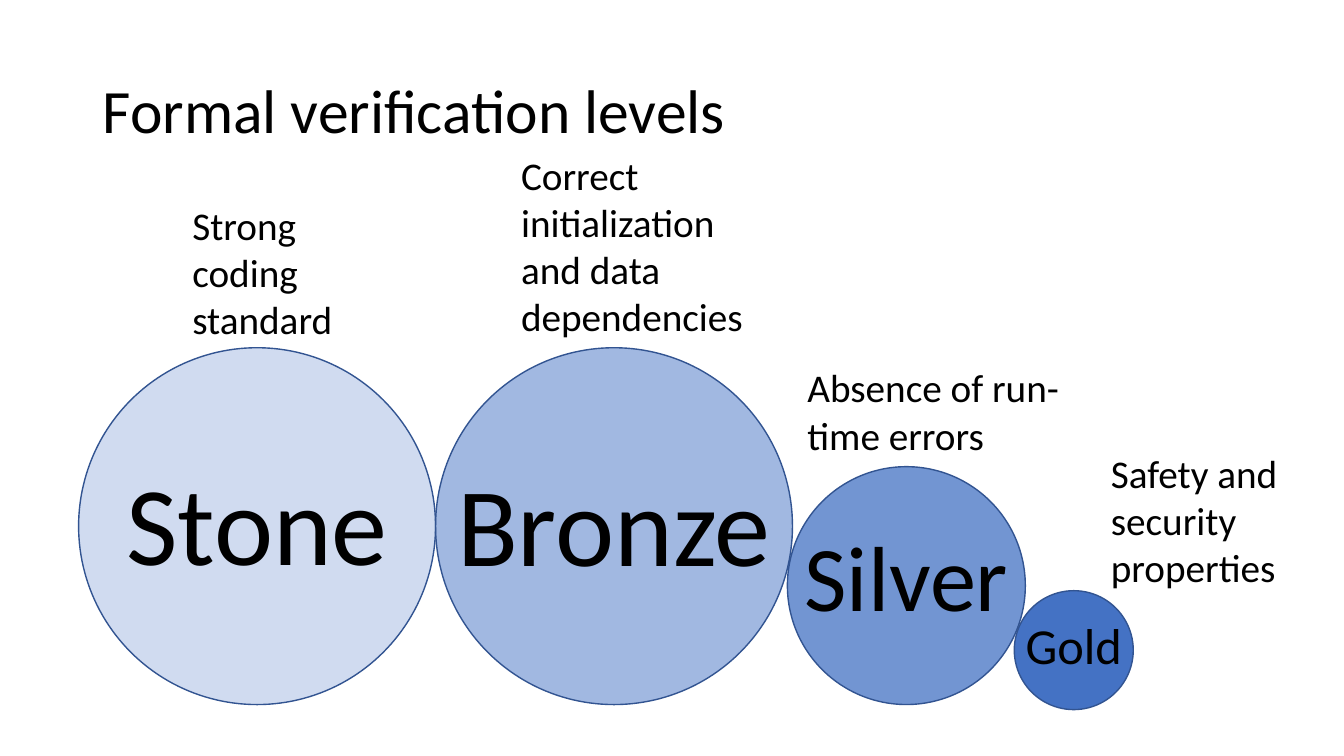
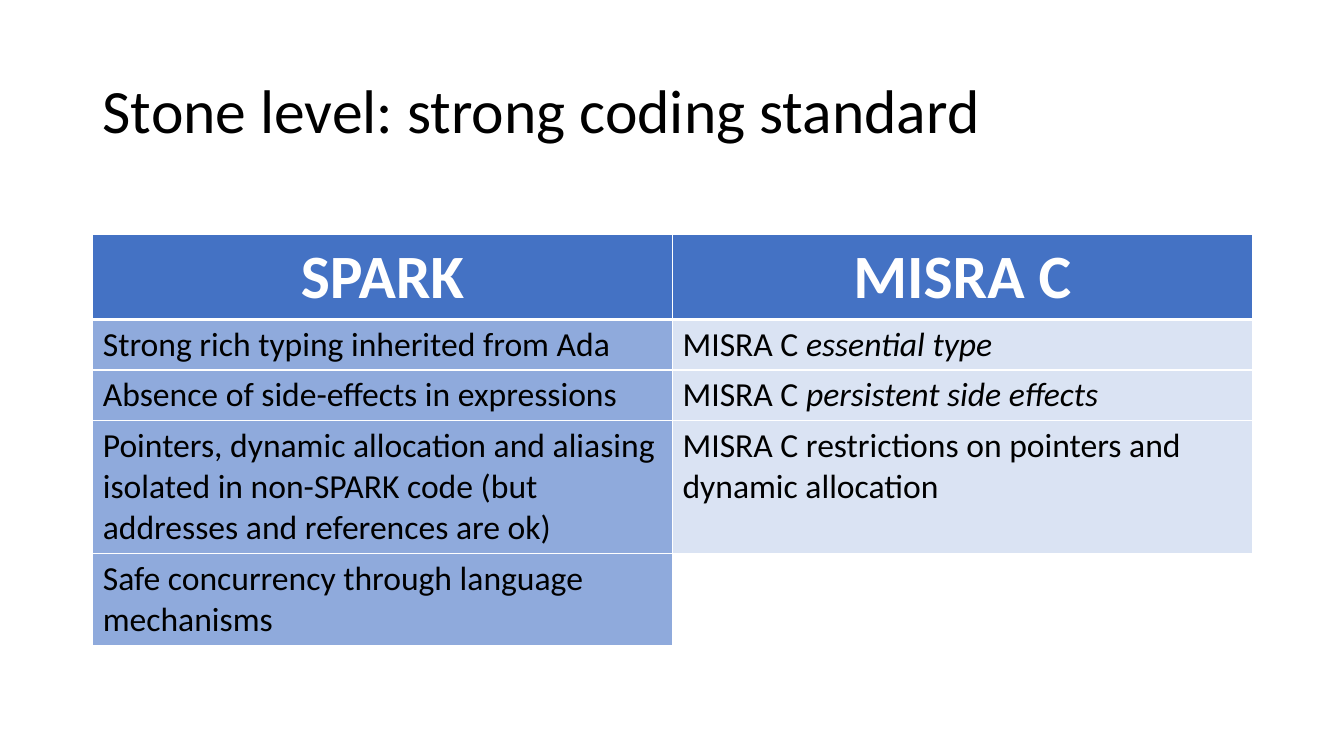
"""Build two slides on formal verification levels and the Stone coding standard."""
from dataclasses import dataclass

from lxml.etree import SubElement
from pptx import Presentation
from pptx.dml.color import RGBColor
from pptx.enum.shapes import MSO_SHAPE
from pptx.enum.text import MSO_ANCHOR, PP_ALIGN
from pptx.oxml import parse_xml
from pptx.oxml.ns import nsdecls, qn
from pptx.presentation import Presentation as Deck
from pptx.slide import Slide
from pptx.table import _Cell
from pptx.text.text import TextFrame
from pptx.util import Inches, Pt


@dataclass(frozen=True)
class Theme:
    font: str = "Calibri"
    ink: RGBColor = RGBColor(0x00, 0x00, 0x00)
    white: RGBColor = RGBColor(0xFF, 0xFF, 0xFF)
    accent: RGBColor = RGBColor(0x44, 0x72, 0xC4)
    outline: RGBColor = RGBColor(0x32, 0x54, 0x91)
    spark: RGBColor = RGBColor(0x8F, 0xAA, 0xDC)
    misra: RGBColor = RGBColor(0xDA, 0xE3, 0xF3)
    title_size: int = 44
    caption_size: int = 28
    body_size: int = 24


@dataclass(frozen=True)
class Box:
    left: float
    top: float
    width: float
    height: float

    def emu(self) -> tuple[Inches, Inches, Inches, Inches]:
        return Inches(self.left), Inches(self.top), Inches(self.width), Inches(self.height)


@dataclass(frozen=True)
class Level:
    name: str
    name_size: int
    name_top: float
    name_width: float
    left: float
    top: float
    diameter: float
    opacity: int
    caption: str
    caption_box: Box


@dataclass(frozen=True)
class Entry:
    text: str
    emphasis: str = ""


@dataclass(frozen=True)
class Rule:
    spark: Entry
    misra: Entry | None
    height: float


THEME = Theme()
TITLE_BOX = Box(0.92, 0.4, 11.5, 1.45)
LEVELS = [
    Level("Gold", 36, 6.04, 1.42, 10.06, 5.86, 1.18, 100,
          "Safety and\nsecurity\nproperties", Box(10.92, 4.41, 2.2, 1.66)),
    Level("Silver", 66, 5.1, 2.65, 7.81, 4.63, 2.36, 75,
          "Absence of run-time errors", Box(7.91, 3.56, 2.7, 1.66)),
    Level("Bronze", 80, 4.46, 3.47, 4.32, 3.45, 3.54, 50,
          "Correct\ninitialization\nand data dependencies", Box(5.07, 1.45, 3.37, 2.16)),
    Level("Stone", 80, 4.45, 3.94, 0.78, 3.45, 3.54, 25,
          "Strong coding standard", Box(1.81, 1.95, 1.87, 1.66)),
]
HEADINGS = ("SPARK", "MISRA C")
HEADING_HEIGHT = 0.84
RULES = [
    Rule(Entry("Strong rich typing inherited from Ada"), Entry("MISRA C ", "essential type"), 0.5),
    Rule(Entry("Absence of side-effects in expressions"),
         Entry("MISRA C ", "persistent side effects"), 0.5),
    Rule(Entry("Pointers, dynamic allocation and aliasing isolated in non-SPARK code "
               "(but addresses and references are ok)"),
         Entry("MISRA C restrictions on pointers and dynamic allocation"), 1.32),
    Rule(Entry("Safe concurrency through language mechanisms"), None, 0.91),
]


def style_text(frame: TextFrame, size: int, color: RGBColor = THEME.ink,
               align: PP_ALIGN = PP_ALIGN.LEFT, bold: bool = False) -> None:
    for paragraph in frame.paragraphs:
        paragraph.alignment = align
        paragraph.font.name = THEME.font
        paragraph.font.size = Pt(size)
        paragraph.font.bold = bold
        paragraph.font.color.rgb = color


def add_text(slide: Slide, box: Box, text: str, size: int,
             align: PP_ALIGN = PP_ALIGN.LEFT) -> TextFrame:
    frame = slide.shapes.add_textbox(*box.emu()).text_frame
    frame.word_wrap = True
    frame.text = text
    style_text(frame, size, align=align)
    return frame


def add_titled_slide(deck: Deck, title: str) -> Slide:
    slide = deck.slides.add_slide(deck.slide_layouts[6])
    frame = add_text(slide, TITLE_BOX, title, THEME.title_size)
    frame.vertical_anchor = MSO_ANCHOR.MIDDLE
    frame.paragraphs[0].line_spacing = 0.9
    return slide


def add_circle(slide: Slide, level: Level) -> None:
    box = Box(level.left, level.top, level.diameter, level.diameter)
    circle = slide.shapes.add_shape(MSO_SHAPE.OVAL, *box.emu())
    circle.shadow.inherit = False
    circle.fill.solid()
    circle.fill.fore_color.rgb = THEME.accent
    color = circle._element.spPr.find(qn("a:solidFill"))[0]
    SubElement(color, qn("a:alpha"), val=str(level.opacity * 1000))
    circle.line.color.rgb = THEME.outline
    circle.line.width = Pt(1)


def add_level_texts(slide: Slide, level: Level) -> None:
    left = level.left + (level.diameter - level.name_width) / 2
    height = round(level.name_size * 1.22 / 72 + 0.1, 2)
    add_text(slide, Box(left, level.name_top, level.name_width, height),
             level.name, level.name_size, PP_ALIGN.CENTER)
    add_text(slide, level.caption_box, level.caption, THEME.caption_size)


def set_borders(cell: _Cell, top: int, bottom: int) -> None:
    properties = cell._tc.get_or_add_tcPr()
    for index, (side, width) in enumerate(zip("LRTB", (1, 1, top, bottom))):
        properties.insert(index, parse_xml(
            f'<a:ln{side} {nsdecls("a")} w="{Pt(width)}"><a:solidFill>'
            f'<a:srgbClr val="{THEME.white}"/></a:solidFill></a:ln{side}>'))


def fill_heading(cell: _Cell, heading: str) -> None:
    cell.fill.solid()
    cell.fill.fore_color.rgb = THEME.accent
    cell.text = heading
    style_text(cell.text_frame, THEME.title_size, THEME.white, PP_ALIGN.CENTER, bold=True)
    set_borders(cell, top=1, bottom=3)


def fill_entry(cell: _Cell, entry: Entry | None, color: RGBColor, top: int) -> None:
    if entry is None:
        cell.fill.background()
    else:
        cell.fill.solid()
        cell.fill.fore_color.rgb = color
        cell.text = entry.text
        if entry.emphasis:
            emphasis = cell.text_frame.paragraphs[0].add_run()
            emphasis.text = entry.emphasis
            emphasis.font.italic = True
    style_text(cell.text_frame, THEME.body_size)
    set_borders(cell, top, bottom=1)


def add_comparison(slide: Slide) -> None:
    heights = [HEADING_HEIGHT, *(rule.height for rule in RULES)]
    box = Box(0.92, 2.33, 11.5, sum(heights))
    table = slide.shapes.add_table(len(heights), len(HEADINGS), *box.emu()).table
    table.horz_banding = False
    for row, height in zip(table.rows, heights):
        row.height = Inches(height)
    for column, heading in enumerate(HEADINGS):
        fill_heading(table.cell(0, column), heading)
    for row, rule in enumerate(RULES, start=1):
        top = 3 if row == 1 else 1
        fill_entry(table.cell(row, 0), rule.spark, THEME.spark, top)
        fill_entry(table.cell(row, 1), rule.misra, THEME.misra, top)


def main() -> None:
    deck = Presentation()
    deck.slide_width, deck.slide_height = Inches(13.33), Inches(7.5)

    overview = add_titled_slide(deck, "Formal verification levels")
    for level in LEVELS:
        add_circle(overview, level)
    for level in LEVELS:
        add_level_texts(overview, level)

    add_comparison(add_titled_slide(deck, "Stone level: strong coding standard"))
    deck.save("out.pptx")


if __name__ == "__main__":
    main()
